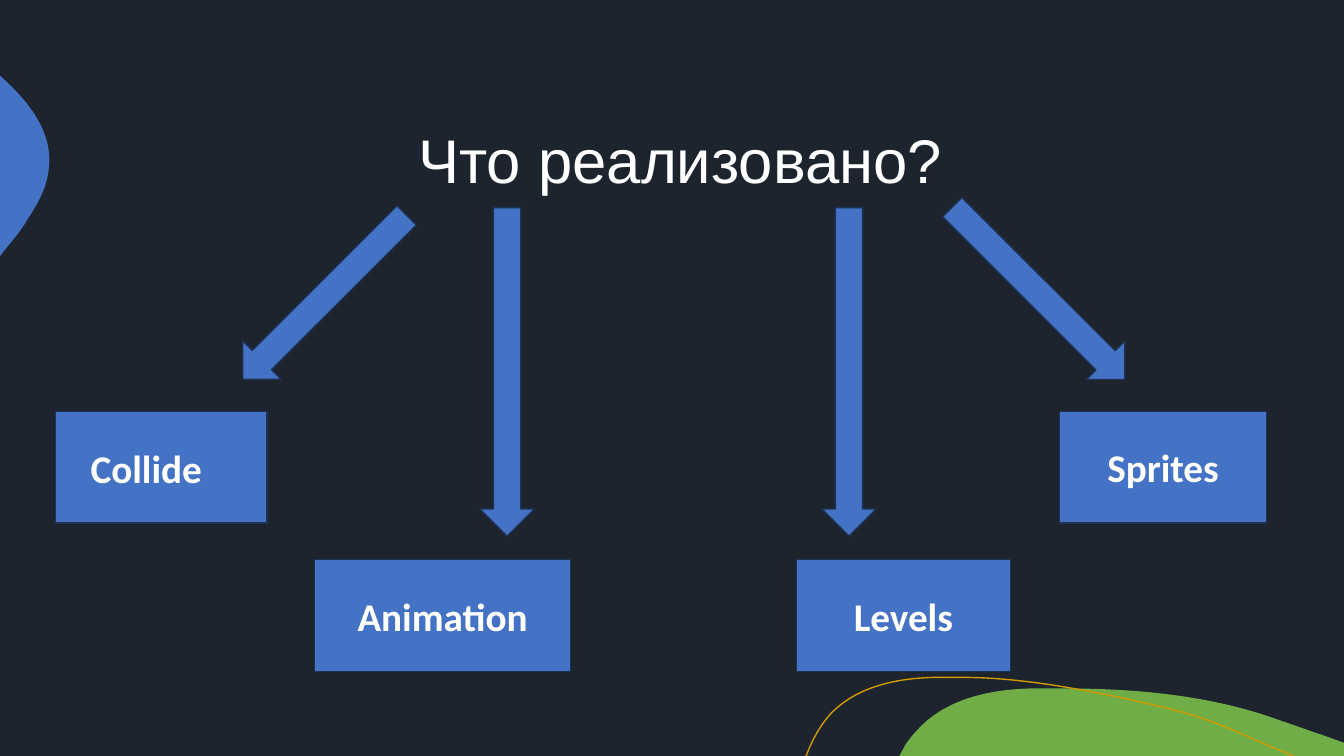
"""Build the slide that shows the four implemented features of a game."""
from lxml.etree import SubElement
from pptx import Presentation
from pptx.dml.color import RGBColor
from pptx.enum.shapes import MSO_SHAPE
from pptx.enum.text import MSO_ANCHOR, PP_ALIGN
from pptx.oxml.ns import qn
from pptx.util import Inches, Pt

COLORS = {"background": "1D242E", "blue": "4472C4", "outline": "1E3256",
          "green": "70AD47", "gold": "CF9B00", "white": "FFFFFF"}


def style_shape(shape, fill, line):
    shape.shadow.inherit = False
    if fill:
        shape.fill.solid()
        shape.fill.fore_color.rgb = RGBColor.from_string(COLORS[fill])
    else:
        shape.fill.background()
    if line:
        shape.line.color.rgb = RGBColor.from_string(COLORS[line])
        shape.line.width = Pt(1)
    else:
        shape.line.fill.background()


def write_text(shape, text, font_format, alignment, anchor):
    frame = shape.text_frame
    frame.word_wrap = True
    frame.vertical_anchor = anchor
    paragraph = frame.paragraphs[0]
    paragraph.text = text
    paragraph.alignment = alignment
    for name, value in font_format.items():
        setattr(paragraph.font, name, value)
    paragraph.font.color.rgb = RGBColor.from_string(COLORS["white"])


presentation = Presentation()
presentation.slide_width = Inches(13.33)
presentation.slide_height = Inches(7.5)
slide = presentation.slides.add_slide(presentation.slide_layouts[6])
slide.background.fill.solid()
slide.background.fill.fore_color.rgb = RGBColor.from_string(COLORS["background"])

green_hill = [
    (10.54, 6.83), (11.28, 6.83, 12.04, 6.9, 12.73, 7.16),
    (12.86, 7.2, 12.98, 7.25, 13.11, 7.29), (13.33, 7.37), (13.33, 7.5),
    (8.92, 7.5), (8.98, 7.39), (9.02, 7.33, 9.06, 7.28, 9.11, 7.23),
    (9.39, 6.93, 9.82, 6.84, 10.23, 6.83), (10.33, 6.83, 10.43, 6.83, 10.54, 6.83)]
blue_drop = [
    (0, 0.75), (0.01, 0.76), (0.3, 1.02, 0.54, 1.33, 0.48, 1.7),
    (0.46, 1.87, 0.37, 2.03, 0.27, 2.18), (0.24, 2.24, 0.17, 2.33, 0.08, 2.44),
    (0, 2.54)]
gold_wave = [
    (7.99, 7.5), (8, 7.49), (8.06, 7.33, 8.14, 7.19, 8.24, 7.08),
    (8.5, 6.81, 8.89, 6.73, 9.26, 6.72), (9.55, 6.72),
    (10.22, 6.72, 11, 6.89, 11.55, 7.02), (12.09, 7.15, 12.26, 7.27, 12.83, 7.5)]

for segments, fill, line in [(green_hill, "green", None), (blue_drop, "blue", None),
                             (gold_wave, None, "gold")]:
    ends = [(Inches(segment[-2]), Inches(segment[-1])) for segment in segments]
    builder = slide.shapes.build_freeform(*ends[0])
    builder.add_line_segments(ends[1:], close=fill is not None)
    decoration = builder.convert_to_shape()
    style_shape(decoration, fill, line)
    outline = next(decoration.element.iter(qn("a:path")))
    for straight, segment in zip(list(outline), segments):
        if len(segment) == 6:
            curve = SubElement(outline, qn("a:cubicBezTo"))
            for x, y in zip(segment[::2], segment[1::2]):
                SubElement(curve, qn("a:pt"), x=str(Inches(x) - decoration.left),
                           y=str(Inches(y) - decoration.top))
            outline.replace(straight, curve)

title = slide.shapes.add_textbox(Inches(3.88), Inches(0.79), Inches(5.58), Inches(1.67))
title_format = {"name": "Arial", "size": Pt(44)}
write_text(title, "Что реализовано?", title_format, PP_ALIGN.LEFT, MSO_ANCHOR.MIDDLE)
title.text_frame.margin_left = Inches(0.27)
title.text_frame.paragraphs[0].line_spacing = 0.9

label_format = {"name": "Calibri", "size": Pt(28), "bold": True}
features = [(None, 0.55, 4.08, 2.1), ("Levels", 7.9, 5.55, 2.12),
            ("Animation", 3.12, 5.55, 2.54), ("Sprites", 10.51, 4.08, 2.05)]
for label, left, top, width in features:
    box = slide.shapes.add_shape(MSO_SHAPE.RECTANGLE, Inches(left), Inches(top),
                                 Inches(width), Inches(1.11))
    style_shape(box, "blue", "outline")
    if label:
        write_text(box, label, label_format, PP_ALIGN.CENTER, MSO_ANCHOR.MIDDLE)
    else:
        collide = slide.shapes.add_textbox(Inches(0.8), Inches(4.36), Inches(1.56), Inches(0.57))
        write_text(collide, "Collide", label_format, PP_ALIGN.LEFT, MSO_ANCHOR.TOP)

arrows = [(2.07, 2.68, 2.3, 135), (3.4, 3.42, 3.26, 90),
          (6.79, 3.42, 3.26, 90), (9.09, 2.64, 2.42, 45)]
for left, top, length, rotation in arrows:
    arrow = slide.shapes.add_shape(MSO_SHAPE.RIGHT_ARROW, Inches(left), Inches(top),
                                   Inches(length), Inches(0.54))
    arrow.rotation = rotation
    style_shape(arrow, "blue", "outline")

presentation.save("out.pptx")
